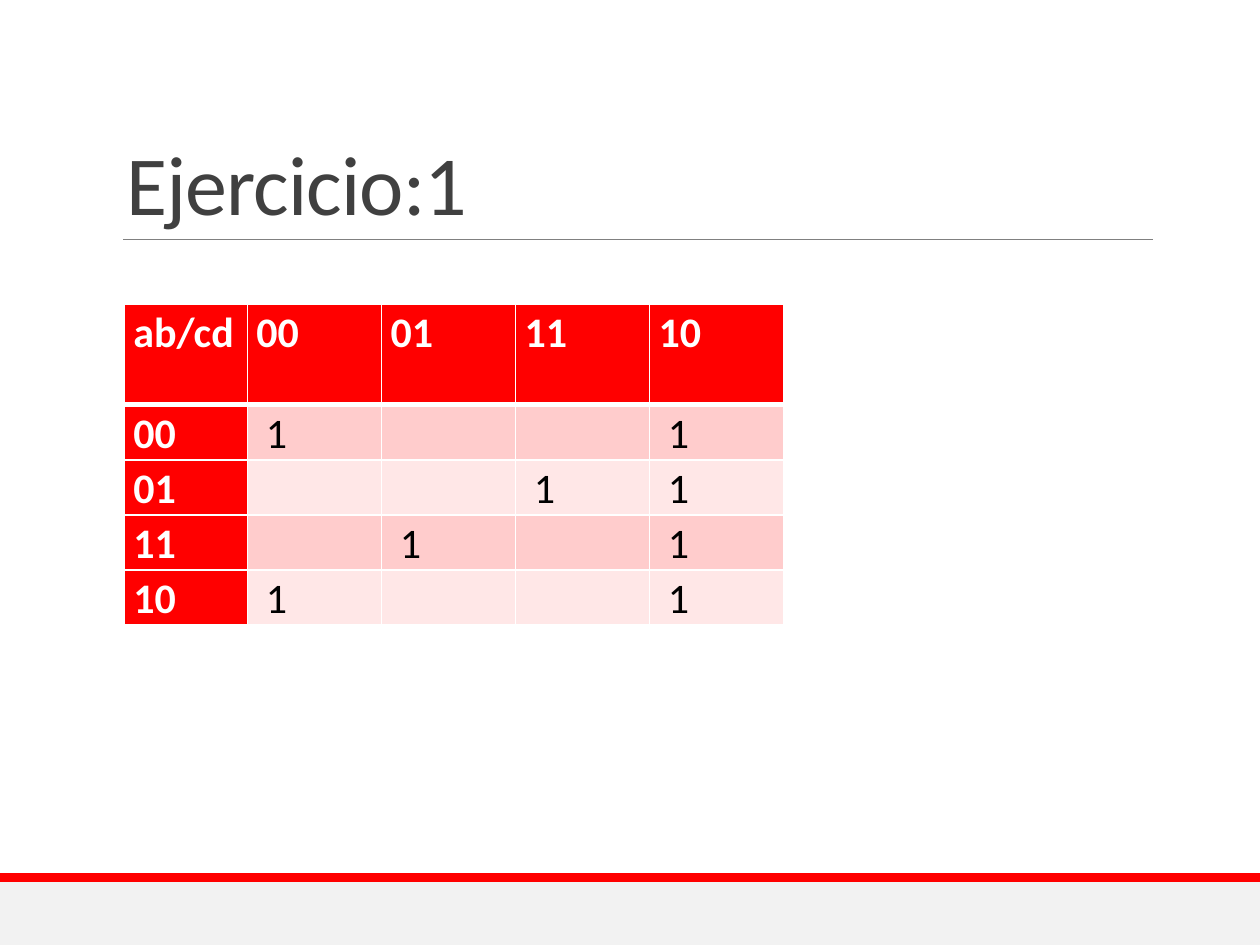
import dataclasses

import pptx
import pptx.dml.color
import pptx.enum.shapes
import pptx.enum.text
import pptx.oxml
import pptx.oxml.ns
import pptx.util

Cm, Pt = pptx.util.Cm, pptx.util.Pt


@dataclasses.dataclass(frozen=True)
class Theme:
    font: str = "Calibri"
    title: str = "404040"
    accent: str = "FF0000"
    bands: tuple = ("FFCCCC", "FFE7E7")
    ink: str = "000000"
    light: str = "FFFFFF"
    footer: str = "F2F2F2"
    rule: str = "808080"
    title_size: float = 48
    table_size: float = 24


THEME = Theme()
KARNAUGH_MAP = [
    ["ab/cd", "00", "01", "11", "10"],
    ["00", "1", "", "", "1"],
    ["01", "", "", "1", "1"],
    ["11", "", "1", "", "1"],
    ["10", "1", "", "", "1"],
]


def rgb(value):
    return pptx.dml.color.RGBColor.from_string(value)


def style(paragraph, size, color, bold=False):
    font = paragraph.font
    font.name, font.size, font.bold = THEME.font, Pt(size), bold
    font.color.rgb = rgb(color)


def add_bar(slide, left, top, width, height, color):
    bar = slide.shapes.add_shape(
        pptx.enum.shapes.MSO_SHAPE.RECTANGLE, left, top, width, height)
    bar.shadow.inherit = False
    bar.fill.solid()
    bar.fill.fore_color.rgb = rgb(color)
    bar.line.fill.background()


def add_footer(slide, left, top, width, height):
    stripe = Cm(0.18)
    add_bar(slide, left, top, width, height, THEME.footer)
    add_bar(slide, left, top - stripe, width, stripe, THEME.accent)


def add_heading(slide, left, top, width, height):
    """Fill the title placeholder and rule it off along its bottom edge."""
    title = slide.shapes.title
    title.left, title.top, title.width, title.height = left, top, width, height
    frame = title.text_frame
    frame.text = "Ejercicio:1"
    frame.word_wrap = True
    frame.auto_size = pptx.enum.text.MSO_AUTO_SIZE.NONE
    frame.vertical_anchor = pptx.enum.text.MSO_ANCHOR.BOTTOM
    paragraph = frame.paragraphs[0]
    paragraph.alignment = pptx.enum.text.PP_ALIGN.LEFT
    paragraph.line_spacing = 0.85
    style(paragraph, THEME.title_size, THEME.title)
    paragraph.runs[0]._r.get_or_add_rPr().set("spc", "-50")

    bottom = top + height
    rule = slide.shapes.add_connector(
        pptx.enum.shapes.MSO_CONNECTOR.STRAIGHT,
        left + Cm(0.19), bottom, left + width, bottom)
    rule.line.color.rgb = rgb(THEME.rule)
    rule.line.width = Pt(0.5)
    rule._element.spPr.append(pptx.oxml.parse_xml(
        f'<a:effectLst {pptx.oxml.ns.nsdecls("a")}/>'))


def set_borders(cell, top, bottom):
    properties = cell._tc.get_or_add_tcPr()
    for side, points in (("L", 1), ("R", 1), ("T", top), ("B", bottom)):
        properties.append(pptx.oxml.parse_xml(
            f'<a:ln{side} {pptx.oxml.ns.nsdecls("a")} w="{Pt(points)}">'
            f'<a:solidFill><a:srgbClr val="{THEME.light}"/></a:solidFill>'
            f'</a:ln{side}>'))


def fill_cell(cell, text, row, column):
    is_label = row == 0 or column == 0
    set_borders(cell, top=3 if row == 1 else 1, bottom=3 if row == 0 else 1)
    cell.fill.solid()
    cell.fill.fore_color.rgb = rgb(
        THEME.accent if is_label else THEME.bands[(row - 1) % 2])
    cell.margin_left = Cm(0.18 if is_label else 0.37)
    cell.margin_right = Cm(0.18)
    cell.margin_top = cell.margin_bottom = 0
    paragraph = cell.text_frame.paragraphs[0]
    paragraph.text = text
    paragraph.line_spacing = 1.07
    paragraph.space_after = Pt(8)
    style(paragraph, THEME.table_size,
          THEME.light if is_label else THEME.ink, bold=is_label)


def add_karnaugh_map(slide, left, top, width, height):
    count = len(KARNAUGH_MAP)
    table = slide.shapes.add_table(count, count, left, top, width, height).table
    label_width, header_height = Cm(2.48), Cm(2.03)
    for index in range(count):
        table.columns[index].width = (
            (width - label_width) // (count - 1) if index else label_width)
        table.rows[index].height = (
            (height - header_height) // (count - 1) if index else header_height)
    for row, texts in enumerate(KARNAUGH_MAP):
        for column, text in enumerate(texts):
            fill_cell(table.cell(row, column), text, row, column)


def main():
    deck = pptx.Presentation()
    deck.slide_width, deck.slide_height = Cm(25.4), Cm(19.05)
    slide = deck.slides.add_slide(deck.slide_layouts.get_by_name("Title Only"))
    add_footer(slide, 0, Cm(17.78), deck.slide_width, Cm(1.27))
    add_heading(slide, Cm(2.29), Cm(0.78), Cm(20.95), Cm(4.04))
    add_karnaugh_map(slide, Cm(2.51), Cm(6.13), Cm(13.29), Cm(6.47))
    deck.save("out.pptx")


if __name__ == "__main__":
    main()
